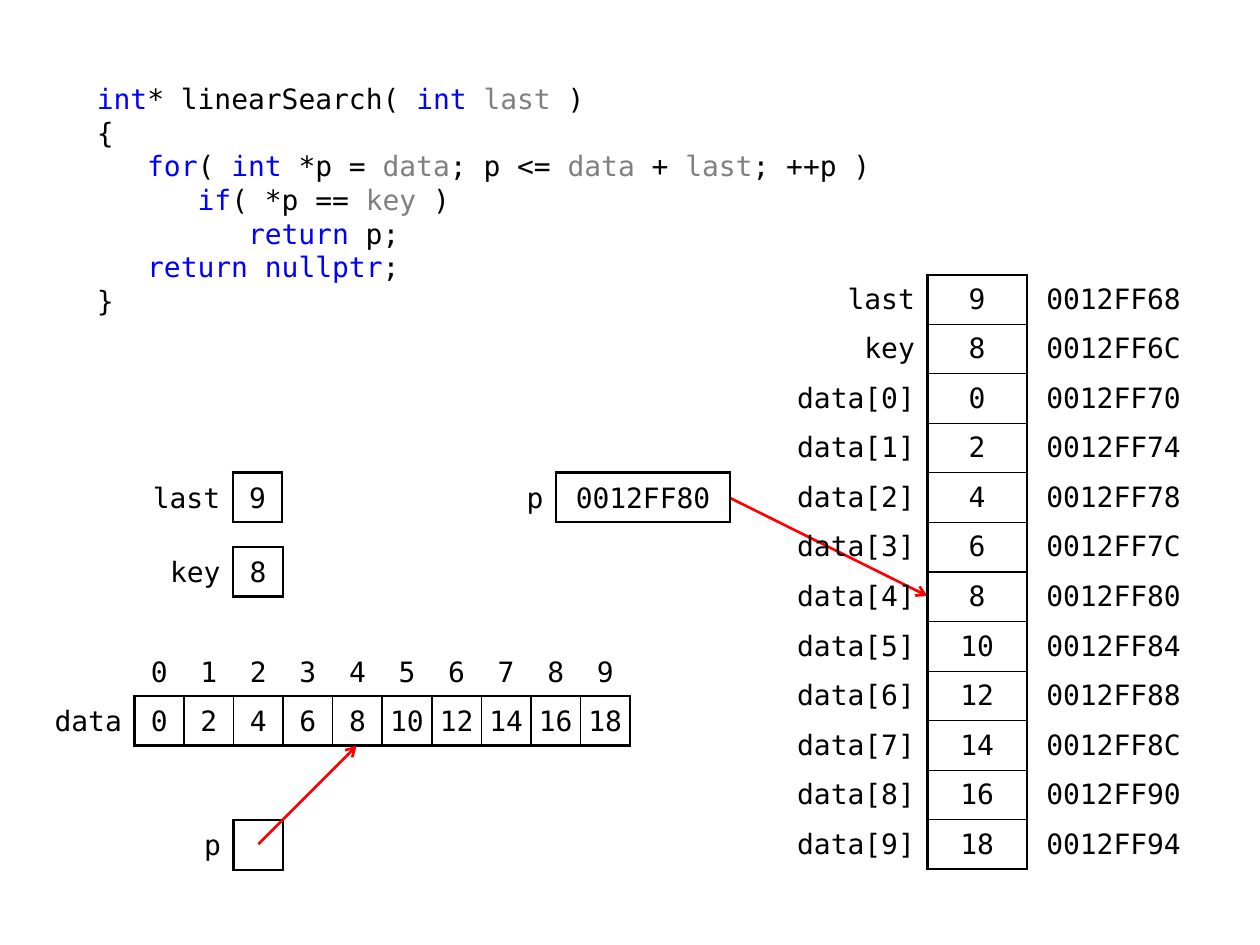
from lxml import etree
from pptx import Presentation
from pptx.dml.color import RGBColor
from pptx.enum.shapes import MSO_CONNECTOR
from pptx.enum.text import MSO_ANCHOR, PP_ALIGN
from pptx.oxml.ns import qn
from pptx.util import Inches, Pt

STRAIGHT = MSO_CONNECTOR.STRAIGHT
MIDDLE = MSO_ANCHOR.MIDDLE
CENTER, RIGHT = PP_ALIGN.CENTER, PP_ALIGN.RIGHT

BLACK = RGBColor(0x00, 0x00, 0x00)
WHITE = RGBColor(0xFF, 0xFF, 0xFF)
BLUE = RGBColor(0x00, 0x00, 0xFF)
GRAY = RGBColor(0x80, 0x80, 0x80)
RED = RGBColor(0xFF, 0x00, 0x00)

FONT = "DejaVu Sans Mono"
FONT_SIZE = Pt(16)
NO_STYLE_NO_GRID = "{2D5ABB26-0587-4C30-8999-92F81FD0307C}"
UNIT = 1 / 2.54  # the slide is laid out on a one-centimetre grid
ADDRESS_WIDTH = 1.38
THICK, MEDIUM, THIN = Pt(1.5), Pt(1), Pt(0.75)

TOKEN_COLORS = {
    **dict.fromkeys(["int", "for", "if", "return", "return nullptr"], BLUE),
    **dict.fromkeys(["data", "last", "key"], GRAY),
}
# Indent level, then the line with its tokens separated by bars
CODE = [
    (0, "int|* linearSearch( |int| |last| )"),
    (0, "{"),
    (1, "for|( |int| *p = |data|; p <= |data| + |last|; ++p )"),
    (2, "if|( *p == |key| )"),
    (3, "return| p;"),
    (1, "return nullptr|;"),
    (0, "}"),
]
INDENT = 0.4  # three characters

LAST, KEY = 9, 8
DATA = list(range(0, 20, 2))
FIRST_ADDRESS = 0x0012FF68
INT_SIZE = 4
FOUND_ADDRESS = "0012FF80"


def style_run(r, color=BLACK):
    r.font.name = FONT
    r.font.size = FONT_SIZE
    r.font.color.rgb = color


def add_code(slide):
    tf = slide.shapes.add_textbox(Inches(0.67), Inches(0.6), Inches(6.89), Inches(1.97)).text_frame
    tf.word_wrap = True
    for i, (level, line) in enumerate(CODE):
        p = tf.paragraphs[0] if i == 0 else tf.add_paragraph()
        p.line_spacing = Pt(19.2)
        p._p.get_or_add_pPr().set("marL", str(Inches(INDENT * level)))
        for token in line.split("|"):
            r = p.add_run()
            r.text = token
            style_run(r, TOKEN_COLORS.get(token, BLACK))


def add_table(slide, left, top, widths, rows, bottom_inset=0.02):
    """Add an unruled table: labels in the first column, centred values after it."""
    frame = slide.shapes.add_table(
        len(rows), len(widths), Inches(left), Inches(top),
        Inches(sum(widths)), Inches(UNIT * len(rows)))
    table = frame.table
    table.first_row = table.horz_banding = False
    table._tbl.tblPr.find(qn("a:tableStyleId")).text = NO_STYLE_NO_GRID
    for column, width in zip(table.columns, widths):
        column.width = Inches(width)
    for row, texts in zip(table.rows, rows):
        row.height = Inches(UNIT)
        for i, (cell, text) in enumerate(zip(row.cells, texts)):
            cell.vertical_anchor = MIDDLE
            cell.margin_left = 0
            cell.margin_right = Inches(0.1 if i == 0 else 0)
            cell.margin_top = Inches(0.04)
            cell.margin_bottom = Inches(bottom_inset)
            cell.fill.background()
            p = cell.text_frame.paragraphs[0]
            p.text = str(text)
            p.alignment = RIGHT if i == 0 else CENTER
            for r in p.runs:
                style_run(r)
    return table


def set_borders(cell, left=THICK, right=THICK, top=THICK, bottom=THICK):
    tcPr = cell._tc.get_or_add_tcPr()
    sides = [("a:lnL", left), ("a:lnR", right), ("a:lnT", top), ("a:lnB", bottom)]
    for i, (tag, width) in enumerate(sides):
        ln = etree.Element(qn(tag), w=str(width))
        fill = etree.SubElement(ln, qn("a:solidFill"))
        etree.SubElement(fill, qn("a:srgbClr"), val=str(BLACK))
        tcPr.insert(i, ln)


def add_variable(slide, left, top, name, value, name_width=UNIT, value_width=UNIT):
    table = add_table(slide, left, top, [name_width, value_width], [[name, value]])
    set_borders(table.cell(0, 1))


def add_array(slide):
    count = len(DATA)
    rows = [["", *range(count)], ["data", *DATA]]
    table = add_table(slide, 0.28, 5.13, [2 * UNIT] + [UNIT] * count, rows)
    for i in range(count + 1):
        cell = table.cell(1, i)
        cell.fill.solid()
        cell.fill.fore_color.rgb = WHITE
        if i > 0:
            set_borders(cell, left=THICK if i == 1 else MEDIUM,
                        right=THICK if i == count else MEDIUM)


def add_memory(slide):
    names = ["last", "key"] + [f"data[{i}]" for i in range(len(DATA))]
    values = [LAST, KEY, *DATA]
    rows = [[name, value, f"{FIRST_ADDRESS + INT_SIZE * i:08X}"]
            for i, (name, value) in enumerate(zip(names, values))]
    table = add_table(slide, 6.18, 2.18, [3 * UNIT, 2 * UNIT, ADDRESS_WIDTH],
                      rows, bottom_inset=0.04)
    for i in range(len(rows)):
        set_borders(table.cell(i, 1), top=THICK if i == 0 else THIN,
                    bottom=THICK if i == len(rows) - 1 else THIN)


def add_arrow(slide, x1, y1, x2, y2):
    c = slide.shapes.add_connector(STRAIGHT, Inches(x1), Inches(y1), Inches(x2), Inches(y2))
    c.line.color.rgb = RED
    c.line.width = THICK
    etree.SubElement(c.line._get_or_add_ln(), qn("a:tailEnd"), type="arrow")
    etree.SubElement(c._element.spPr, qn("a:effectLst"))


def main():
    prs = Presentation()
    prs.slide_width, prs.slide_height = Inches(10), Inches(7.5)
    slide = prs.slides.add_slide(prs.slide_layouts[6])
    add_code(slide)
    add_array(slide)
    add_variable(slide, 1.46, 6.51, "p", "")
    add_arrow(slide, 2.05, 6.7, 2.83, 5.92)
    add_variable(slide, 1.26, 4.34, "key", KEY, name_width=1.5 * UNIT)
    add_arrow(slide, 5.79, 3.95, 7.36, 4.73)
    add_memory(slide)
    add_variable(slide, 4.02, 3.75, "p", FOUND_ADDRESS, value_width=ADDRESS_WIDTH)
    add_variable(slide, 1.06, 3.75, "last", LAST, name_width=2 * UNIT)
    prs.save("out.pptx")


if __name__ == "__main__":
    main()
